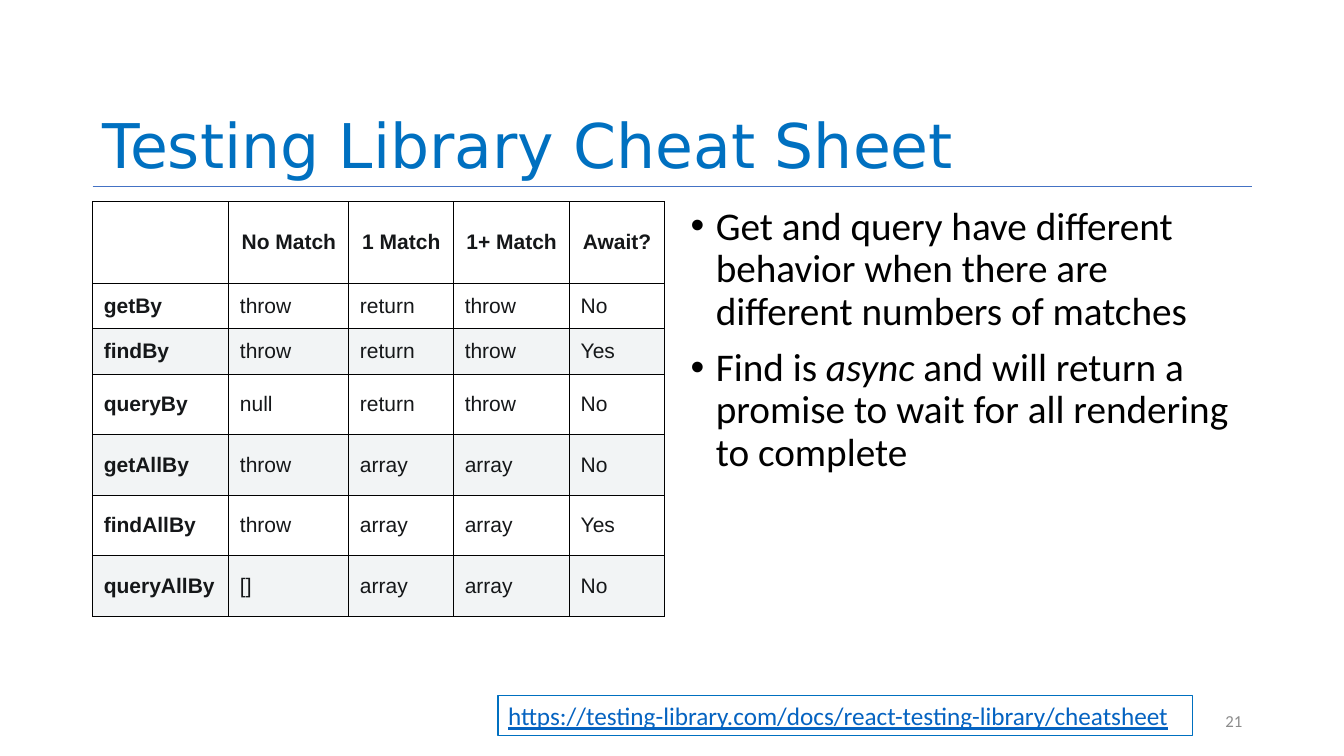
from lxml.etree import SubElement
from pptx import Presentation
from pptx.dml.color import RGBColor
from pptx.enum.shapes import MSO_CONNECTOR, MSO_SHAPE
from pptx.enum.text import MSO_ANCHOR, MSO_AUTO_SIZE, PP_ALIGN
from pptx.oxml.ns import qn
from pptx.util import Inches, Pt

TITLE = "Testing Library Cheat Sheet"
MATCHES = [
    ("", "No Match", "1 Match", "1+ Match", "Await?"),
    ("getBy", "throw", "return", "throw", "No"),
    ("findBy", "throw", "return", "throw", "Yes"),
    ("queryBy", "null", "return", "throw", "No"),
    ("getAllBy", "throw", "array", "array", "No"),
    ("findAllBy", "throw", "array", "array", "Yes"),
    ("queryAllBy", "[]", "array", "array", "No"),
]
# Each bullet is a list of (text, italic) spans
BULLETS = [
    [("Get and query have different behavior when there are different numbers of matches", False)],
    [("Find is ", False), ("async", True),
     (" and will return a promise to wait for all rendering to complete", False)],
]
LINK = "https://testing-library.com/docs/react-testing-library/cheatsheet"
PAGE_NUMBER = "21"

COLUMN_WIDTHS = [1.35, 1.19, 1.04, 1.15, 0.94]
ROW_HEIGHTS = [0.81] + [0.39] * 2 + [0.6] * 4
LEFT, RIGHT = 0.92, 12.42
RULE_TOP, CONTENT_TOP = 1.85, 2
CONTENT_WIDTH = 5.67
BLUE = "0070C0"


def color(value):
    return RGBColor.from_string(value)


def set_font(font, name, size, value, bold=False):
    font.name, font.size, font.bold = name, Pt(size), bold
    font.color.rgb = color(value)


def place(shape, left, top, width, height):
    shape.left, shape.top = Inches(left), Inches(top)
    shape.width, shape.height = Inches(width), Inches(height)


def add_borders(cell):
    properties = cell._tc.get_or_add_tcPr()
    for side in ("lnL", "lnR", "lnT", "lnB"):
        line = SubElement(properties, qn(f"a:{side}"), w=str(Pt(0.75)))
        fill = SubElement(line, qn("a:solidFill"))
        SubElement(fill, qn("a:srgbClr"), val="000000")


def add_title(page):
    title = page.shapes.title
    place(title, LEFT, 0.4, RIGHT - LEFT, RULE_TOP - 0.4)
    frame = title.text_frame
    frame.text = TITLE
    frame.auto_size = MSO_AUTO_SIZE.NONE
    frame.vertical_anchor = MSO_ANCHOR.BOTTOM
    para = frame.paragraphs[0]
    para.alignment = PP_ALIGN.LEFT
    para.line_spacing = 0.9
    set_font(para.runs[0].font, "DejaVu Sans", 44, BLUE)

    rule = page.shapes.add_connector(
        MSO_CONNECTOR.STRAIGHT, Inches(LEFT), Inches(RULE_TOP), Inches(RIGHT), Inches(RULE_TOP))
    rule.line.color.rgb = color("4472C4")
    rule.line.width = Pt(0.5)
    SubElement(rule._element.spPr, qn("a:effectLst"))


def add_match_table(page):
    table = page.shapes.add_table(
        len(MATCHES), len(COLUMN_WIDTHS), Inches(LEFT), Inches(CONTENT_TOP),
        Inches(CONTENT_WIDTH), Inches(sum(ROW_HEIGHTS))).table
    for column, width in zip(table.columns, COLUMN_WIDTHS):
        column.width = Inches(width)
    for row, height in zip(table.rows, ROW_HEIGHTS):
        row.height = Inches(height)
    for r, words in enumerate(MATCHES):
        for c, word in enumerate(words):
            cell = table.cell(r, c)
            cell.text = word
            cell.vertical_anchor = MSO_ANCHOR.MIDDLE
            cell.margin_left = cell.margin_right = Inches(0.11)
            cell.margin_top = cell.margin_bottom = Inches(0.11)
            add_borders(cell)
            if r and r % 2 == 0:
                cell.fill.solid()
                cell.fill.fore_color.rgb = color("F2F4F5")
            else:
                cell.fill.background()
            para = cell.text_frame.paragraphs[0]
            para.alignment = PP_ALIGN.LEFT if r else PP_ALIGN.CENTER
            for span in para.runs:
                set_font(span.font, "Arial", 15, "151719", bold=r == 0 or c == 0)


def add_bullets(page):
    body = page.placeholders[1]
    place(body, RIGHT - CONTENT_WIDTH, CONTENT_TOP, CONTENT_WIDTH, 4.76)
    frame = body.text_frame
    frame.auto_size = MSO_AUTO_SIZE.NONE
    for index, spans in enumerate(BULLETS):
        para = frame.add_paragraph() if index else frame.paragraphs[0]
        para.line_spacing = 0.9
        para.space_before = Pt(10 if index else 0)
        properties = para._p.get_or_add_pPr()
        properties.set("marL", str(Inches(0.25)))
        properties.set("indent", str(Inches(-0.25)))
        SubElement(properties, qn("a:buFont"), typeface="Arial")
        SubElement(properties, qn("a:buChar"), char="•")
        for text, italic in spans:
            span = para.add_run()
            span.text = text
            set_font(span.font, "Calibri", 28, "000000")
            span.font.italic = italic


def add_footer(page):
    number = page.shapes.add_textbox(Inches(RIGHT - 3), Inches(6.95), Inches(3), Inches(0.4))
    number.text_frame.word_wrap = True
    number.text_frame.text = PAGE_NUMBER
    number.text_frame.vertical_anchor = MSO_ANCHOR.MIDDLE
    para = number.text_frame.paragraphs[0]
    para.alignment = PP_ALIGN.RIGHT
    set_font(para.runs[0].font, "Calibri", 12, "8C8C8C")

    box = page.shapes.add_shape(
        MSO_SHAPE.RECTANGLE, Inches(4.94), Inches(6.9), Inches(6.89), Inches(0.4))
    box.shadow.inherit = False
    box.fill.background()
    box.line.color.rgb = color(BLUE)
    box.line.width = Pt(1)
    box.text_frame.word_wrap = True
    box.text_frame.text = LINK
    box.text_frame.vertical_anchor = MSO_ANCHOR.TOP
    para = box.text_frame.paragraphs[0]
    para.alignment = PP_ALIGN.LEFT
    set_font(para.runs[0].font, "Calibri", 18, "0563C1")
    para.runs[0].font.underline = True


def main():
    deck = Presentation()
    deck.slide_width, deck.slide_height = Inches(13.33), Inches(7.5)
    page = deck.slides.add_slide(deck.slide_layouts[1])
    add_title(page)
    add_match_table(page)
    add_bullets(page)
    add_footer(page)
    deck.save("out.pptx")


if __name__ == "__main__":
    main()
